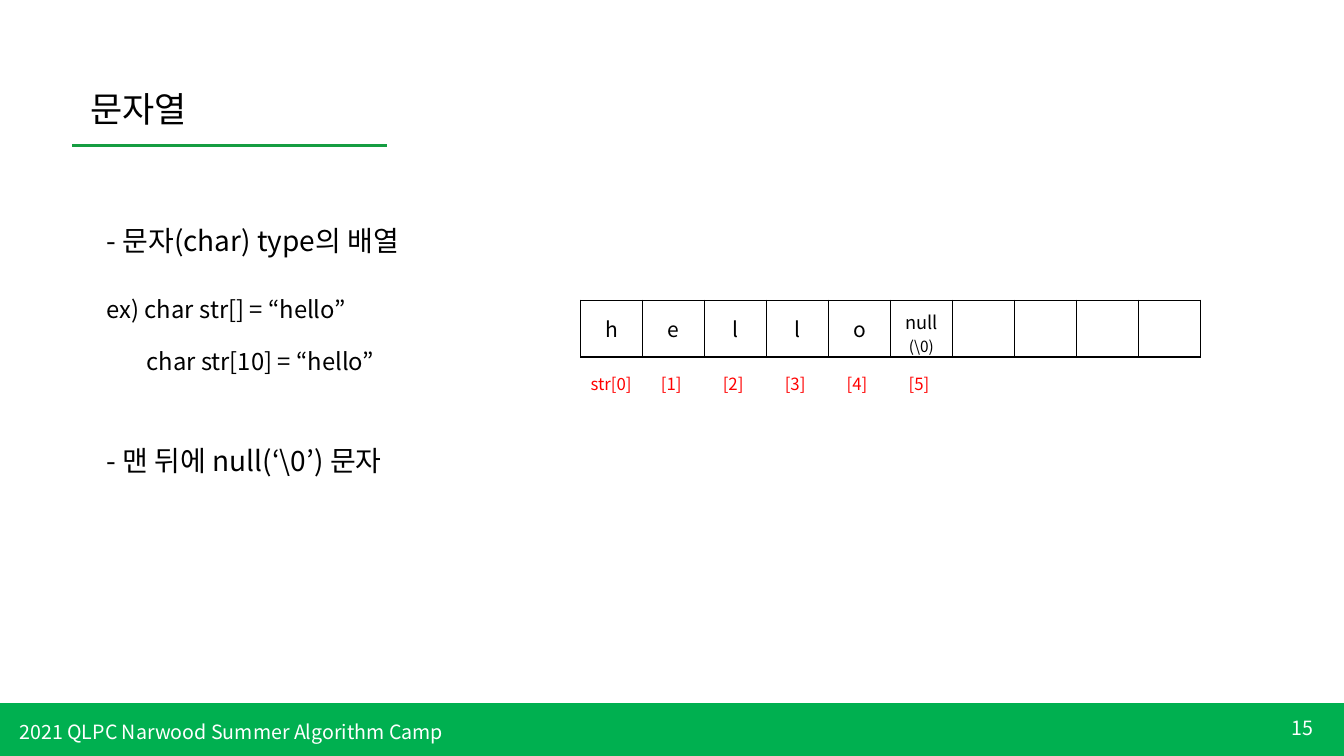
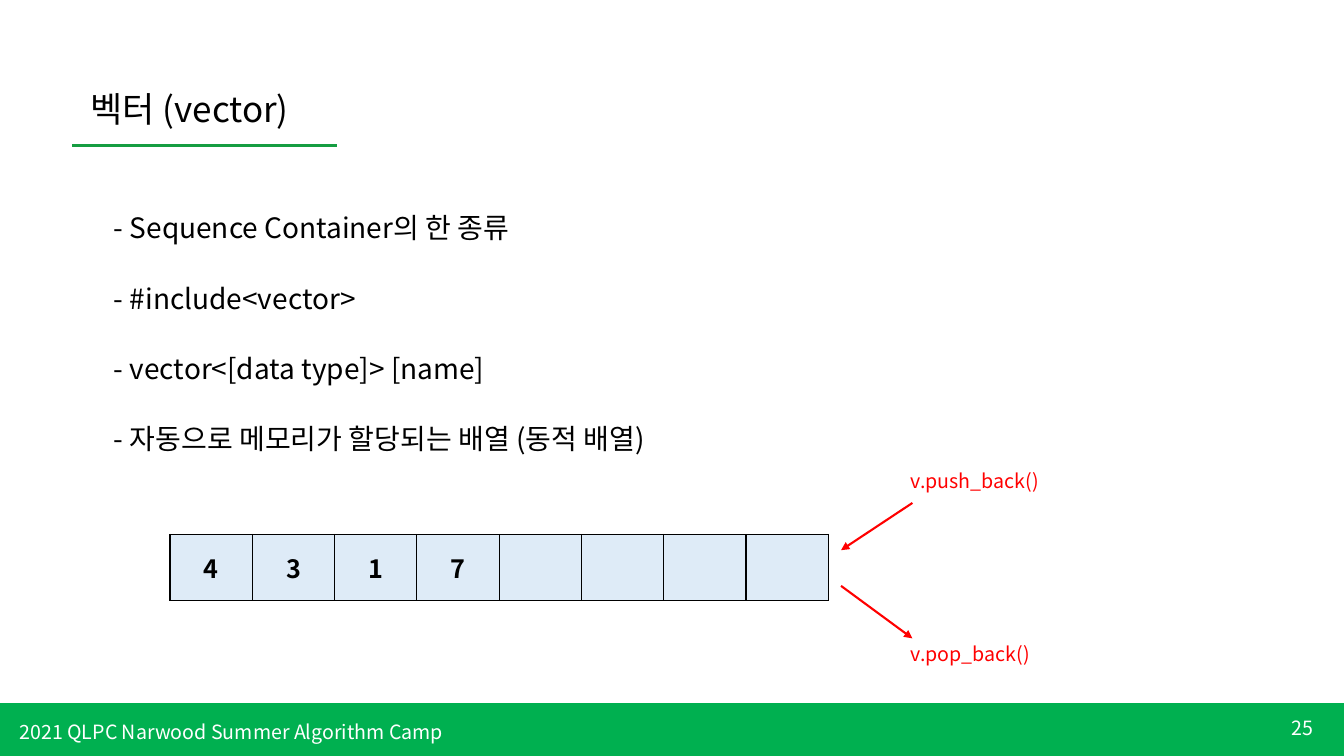
from lxml.etree import SubElement
from pptx import Presentation
from pptx.dml.color import RGBColor
from pptx.enum.shapes import MSO_CONNECTOR, MSO_SHAPE
from pptx.enum.text import MSO_ANCHOR, MSO_AUTO_SIZE, PP_ALIGN
from pptx.oxml.ns import qn
from pptx.util import Pt

SCALE = 9525
WIDTH, HEIGHT = 1280, 720
FONT = "Noto Sans CJK KR"
BLACK = RGBColor(0x00, 0x00, 0x00)
WHITE = RGBColor(0xFF, 0xFF, 0xFF)
RED = RGBColor(0xFF, 0x00, 0x00)
BAND_GREEN = RGBColor(0x00, 0xB0, 0x50)
RULE_GREEN = RGBColor(0x15, 0x9D, 0x41)
PALE_BLUE = RGBColor(0xDE, 0xEB, 0xF7)
FOOTER = "2021 QLPC Narwood Summer Algorithm Camp"


def px(*lengths):
    return [length * SCALE for length in lengths]


def write(paragraph, text, size=20, color=BLACK, bold=False, align=PP_ALIGN.LEFT):
    paragraph.alignment = align
    run = paragraph.add_run()
    run.text = text
    run.font.size = Pt(size)
    run.font.name = FONT
    run.font.bold = bold
    run.font.color.rgb = color
    SubElement(run.font._element, qn("a:ea"), typeface=FONT)


def add_text(slide, text, left, top, width, height, anchor=MSO_ANCHOR.TOP, **style):
    frame = slide.shapes.add_textbox(*px(left, top, width, height)).text_frame
    frame.word_wrap = True
    frame.vertical_anchor = anchor
    if anchor == MSO_ANCHOR.TOP:
        frame.auto_size = MSO_AUTO_SIZE.SHAPE_TO_FIT_TEXT
    write(frame.paragraphs[0], text, **style)


def add_line(slide, start, end, color, weight, arrow=False):
    line = slide.shapes.add_connector(MSO_CONNECTOR.STRAIGHT, *px(*start, *end))
    line.line.color.rgb = color
    line.line.width = Pt(weight)
    if arrow:
        SubElement(line.line._get_or_add_ln(), qn("a:tailEnd"), type="triangle")
    SubElement(line._element.spPr, qn("a:effectLst"))


def add_borders(cell):
    properties = cell._tc.get_or_add_tcPr()
    for side in ("lnL", "lnR", "lnT", "lnB"):
        border = SubElement(properties, qn(f"a:{side}"), w=str(Pt(1)))
        fill = SubElement(border, qn("a:solidFill"))
        SubElement(fill, qn("a:srgbClr"), val=str(BLACK))


def add_array(slide, values, count, left, top, width, height, size, fill=None, bold=False):
    frame = slide.shapes.add_table(1, count, *px(left, top, width, height))
    table = frame.table
    table.first_row = table.horz_banding = False
    padded = values + [""] * (count - len(values))
    for column, cell, value in zip(table.columns, table.rows[0].cells, padded):
        column.width = width * SCALE // count
        cell.vertical_anchor = MSO_ANCHOR.MIDDLE
        cell.margin_left = cell.margin_right = 5 * SCALE
        add_borders(cell)
        if fill:
            cell.fill.solid()
            cell.fill.fore_color.rgb = fill
        else:
            cell.fill.background()
        lines = value if isinstance(value, list) else [(value, size)]
        if len(lines) > 1:
            cell.margin_top, cell.margin_bottom = px(7, 0)
        for number, (text, line_size) in enumerate(lines):
            text_frame = cell.text_frame
            paragraph = text_frame.add_paragraph() if number else text_frame.paragraphs[0]
            write(paragraph, text, size=line_size, bold=bold, align=PP_ALIGN.CENTER)


def add_page(deck, title, number, rule_end):
    slide = deck.slides.add_slide(deck.slide_layouts[6])
    band = slide.shapes.add_shape(MSO_SHAPE.RECTANGLE, *px(0, 670, WIDTH, 50))
    band.shadow.inherit = False
    band.fill.solid()
    band.fill.fore_color.rgb = BAND_GREEN
    band.line.color.rgb = BAND_GREEN
    band.line.width = Pt(1)
    add_text(slide, str(number), 1164, 674, 96, 38, anchor=MSO_ANCHOR.MIDDLE,
             size=14, color=WHITE, align=PP_ALIGN.RIGHT)
    add_text(slide, FOOTER, 9, 681, 553, 33, size=14, color=WHITE)
    add_line(slide, (69, 139), (rule_end, 139), RULE_GREEN, 2.25)
    add_text(slide, title, 77, 79, 363, 50, size=25)
    return slide


def build_string_page(deck):
    slide = add_page(deck, "문자열", 15, 369)
    for text, left, top, size in (
        ("- 문자(char) type의 배열", 92, 208, 20),
        ("ex) char str[] = “hello”", 92, 276, 17),
        ("char str[10] = “hello”", 130, 325, 17),
        ("- 맨 뒤에 null(‘\\0’) 문자", 92, 418, 20),
    ):
        add_text(slide, text, left, top, 451, 42, size=size)

    array_left, pitch, count = 553, 59, 10
    letters = list("hello") + [[("null", 13), ("(\\0)", 11)]]
    add_array(slide, letters, count, array_left, 286, pitch * count, 54, size=15)
    add_text(slide, "str[0]", array_left, 351, 63, 29, size=12, color=RED)
    for index in range(1, len(letters)):
        add_text(slide, f"[{index}]", array_left + 8 + pitch * index, 351, 48, 29,
                 size=12, color=RED)


def build_vector_page(deck):
    slide = add_page(deck, "벡터 (vector)", 25, 321)
    points = (
        "- Sequence Container의 한 종류",
        "- #include<vector>",
        "- vector<[data type]> [name]",
        "- 자동으로 메모리가 할당되는 배열 (동적 배열)",
    )
    for row, point in enumerate(points):
        add_text(slide, point, 99, 196 + 67 * row, 785, 42)
    add_array(slide, list("4317"), 8, 162, 509, 627, 63, size=18, fill=PALE_BLUE, bold=True)
    add_line(slide, (869, 479), (801, 524), RED, 1.5, arrow=True)
    add_line(slide, (801, 558), (869, 608), RED, 1.5, arrow=True)
    for call, top in (("v.push_back()", 442), ("v.pop_back()", 607)):
        add_text(slide, call, 858, top, 165, 33, size=14, color=RED)


def main():
    deck = Presentation()
    deck.slide_width, deck.slide_height = px(WIDTH, HEIGHT)
    build_string_page(deck)
    build_vector_page(deck)
    deck.save("out.pptx")


if __name__ == "__main__":
    main()
